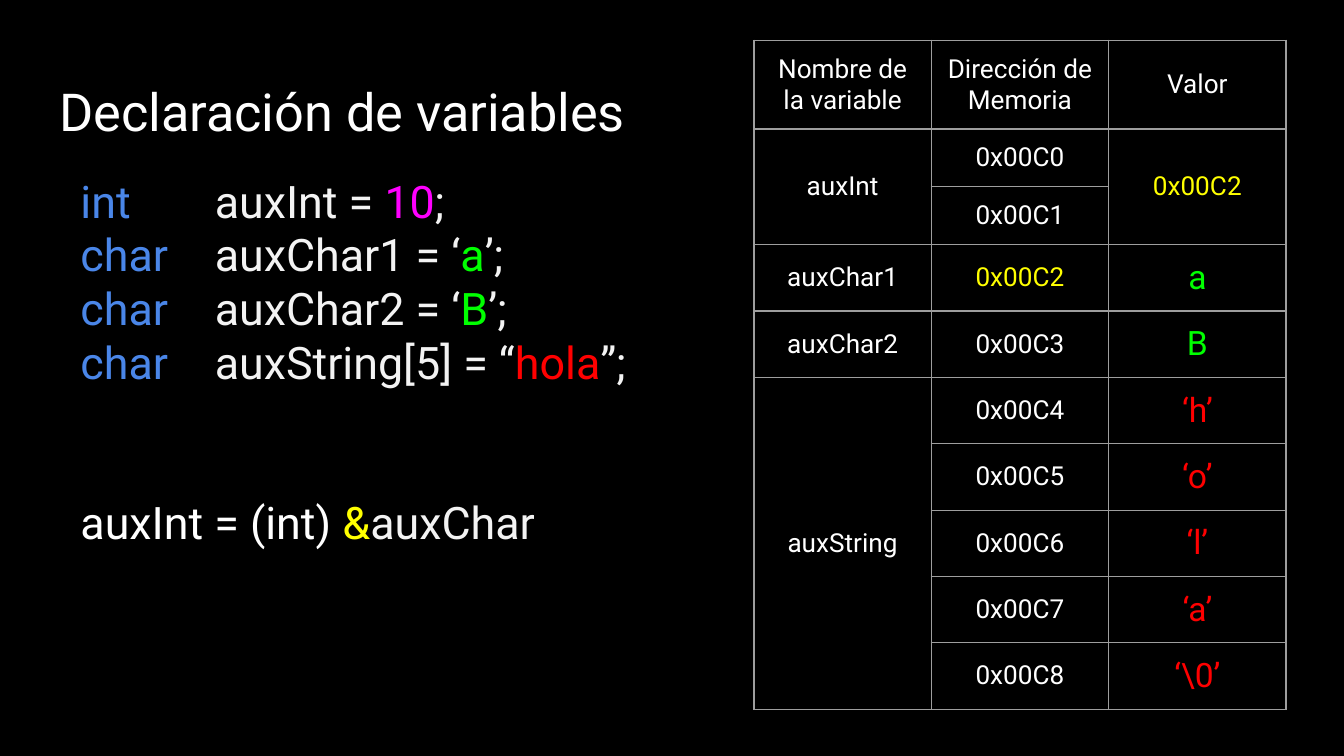
from lxml.etree import SubElement
from pptx import Presentation
from pptx.dml.color import RGBColor
from pptx.enum.text import MSO_ANCHOR, MSO_AUTO_SIZE, PP_ALIGN
from pptx.oxml import parse_xml
from pptx.oxml.ns import nsdecls, qn
from pptx.util import Pt

PX = 4572  # 200 px to the inch
INSET = 20
FONT = "Roboto"
BLACK, WHITE, PALE, GRAY = "000000", "FFFFFF", "F3F3F3", "9E9E9E"
BLUE, PINK, GREEN, RED, YELLOW = "4A86E8", "FF00FF", "00FF00", "FF0000", "FFFF00"


def px(length):
    return length * PX


def color(code):
    return RGBColor.from_string(code)


def add_text(para, text, size=24, fill=WHITE, align=None):
    span = para.add_run()
    span.text = text
    span.font.name = FONT
    span.font.size = Pt(size)
    span.font.color.rgb = color(fill)
    if align is not None:
        para.alignment = align


def set_frame(frame):
    frame.word_wrap = True
    frame.auto_size = MSO_AUTO_SIZE.NONE
    frame.vertical_anchor = MSO_ANCHOR.TOP
    frame.margin_left = frame.margin_right = px(INSET)
    frame.margin_top = frame.margin_bottom = px(INSET)


def add_title(page, box, text):
    title = page.shapes.title
    title.left, title.top, title.width, title.height = map(px, box)
    set_frame(title.text_frame)
    add_text(title.text_frame.paragraphs[0], text, size=28, align=PP_ALIGN.LEFT)


def add_code(page, box, lines):
    """Each line is a list of (text, color) spans."""
    frame = page.shapes.add_textbox(*map(px, box)).text_frame
    set_frame(frame)
    for index, line in enumerate(lines):
        para = frame.add_paragraph() if index else frame.paragraphs[0]
        tabs = SubElement(para._p.get_or_add_pPr(), qn("a:tabLst"))
        SubElement(tabs, qn("a:tab"), pos=str(px(200)), algn="l")
        for text, fill in line:
            add_text(para, text, fill=fill)


def set_borders(cell):
    properties = cell._tc.get_or_add_tcPr()
    for index, side in enumerate(("lnL", "lnR", "lnT", "lnB")):
        properties.insert(index, parse_xml(
            f'<a:{side} {nsdecls("a")} w="{Pt(0.75)}"><a:solidFill>'
            f'<a:srgbClr val="{GRAY}"/></a:solidFill></a:{side}>'))


def add_memory_table(page, box, rows, merges):
    """Each cell is (text, size, color), or None where a merge covers it."""
    table = page.shapes.add_table(len(rows), len(rows[0]), *map(px, box)).table
    table.first_row = table.horz_banding = False
    for r, row in enumerate(rows):
        for c, content in enumerate(row):
            cell = table.cell(r, c)
            cell.fill.background()
            set_borders(cell)
            cell.vertical_anchor = MSO_ANCHOR.MIDDLE
            cell.margin_left = cell.margin_right = px(INSET)
            cell.margin_top = cell.margin_bottom = px(INSET)
            if content:
                text, size, fill = content
                add_text(cell.text_frame.paragraphs[0], text, size=size,
                         fill=fill, align=PP_ALIGN.CENTER)
    for column, first, last in merges:
        table.cell(first, column).merge(table.cell(last, column))


def label(text, fill=WHITE):
    return text, 14, fill


def value(text, fill):
    return text, 18, fill


def memory_rows():
    headers = ("Nombre de la variable", "Dirección de Memoria", "Valor")
    names = {0: "auxInt", 2: "auxChar1", 3: "auxChar2", 4: "auxString"}
    values = [label("0x00C2", YELLOW), None, value("a", GREEN), value("B", GREEN)]
    values += [value(f"‘{letter}’", RED) for letter in ("h", "o", "l", "a", "\\0")]
    rows = [[label(text) for text in headers]]
    for index, content in enumerate(values):
        name = label(names[index]) if index in names else None
        address = label(f"0x00C{index}", YELLOW if index == 2 else WHITE)
        rows.append([name, address, content])
    return rows


def declaration(kind, start, literal, fill, end):
    return [(kind, BLUE), (" \t" + start, PALE), (literal, fill), (end, PALE)]


def main():
    deck = Presentation()
    deck.slide_width, deck.slide_height = px(2000), px(1125)
    page = deck.slides.add_slide(deck.slide_layouts[5])
    page.background.fill.solid()
    page.background.fill.fore_color.rgb = color(BLACK)

    add_title(page, (68, 98, 1864, 126), "Declaración de variables")

    # Memory map: the rows grow to fit their text
    rows = memory_rows()
    add_memory_table(page, (1122, 60, 3 * 264, 84 * len(rows)), rows,
                     merges=[(0, 1, 2), (2, 1, 2), (0, 5, 9)])

    # Declarations, then the cast of an address
    add_code(page, (100, 238, 942, 714), [
        declaration("int", "auxInt = ", "10", PINK, ";"),
        declaration("char", "auxChar1 = ‘", "a", GREEN, "’;"),
        declaration("char", "auxChar2 = ‘", "B", GREEN, "’;"),
        declaration("char", "auxString[5] = “", "hola", RED, "”;"),
    ])
    add_code(page, (100, 716, 942, 714), [
        [("auxInt = (int) ", WHITE), ("&", YELLOW), ("auxChar", PALE)],
    ])
    deck.save("out.pptx")


if __name__ == "__main__":
    main()
